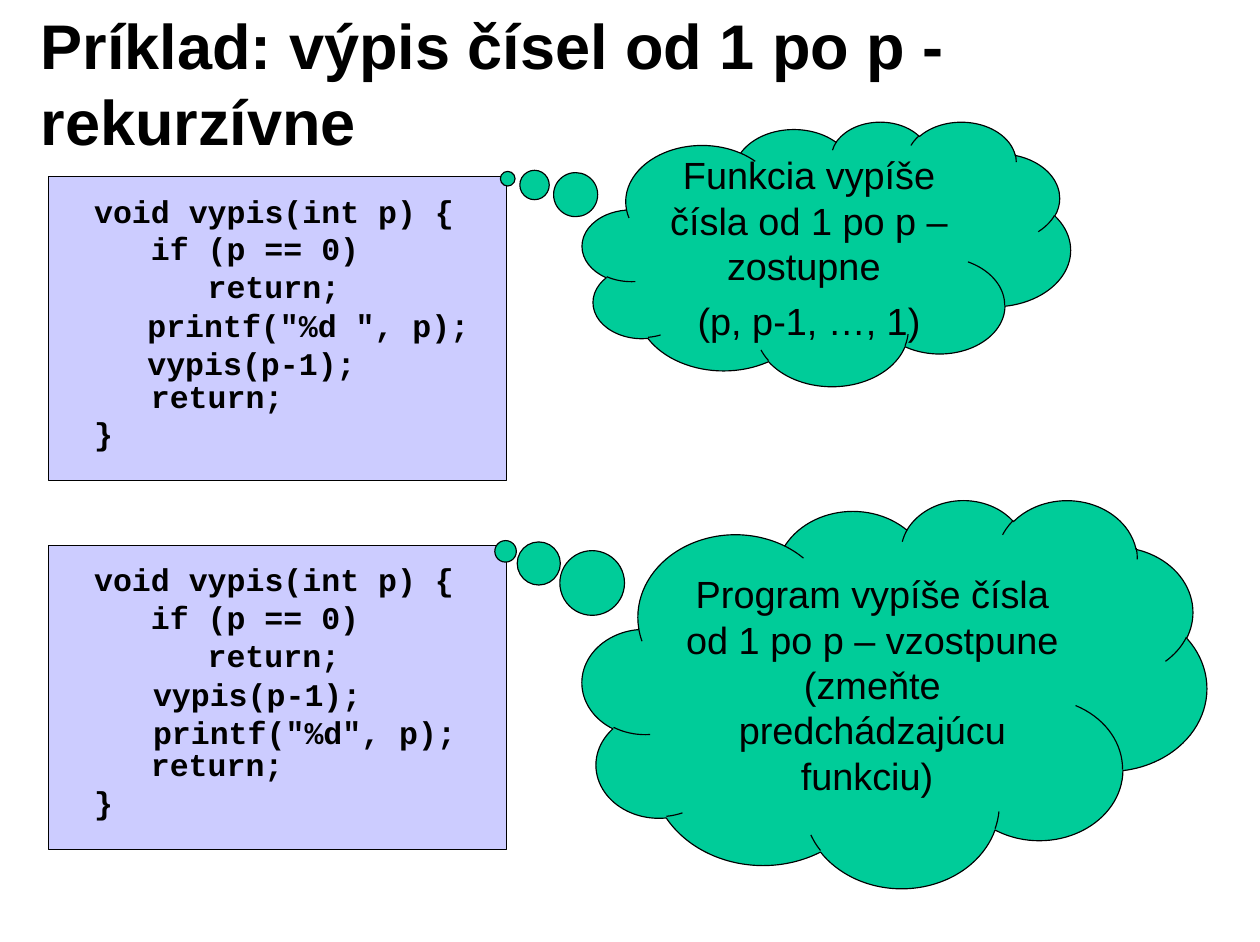
from dataclasses import dataclass

from pptx import Presentation
from pptx.dml.color import RGBColor
from pptx.enum.shapes import MSO_SHAPE
from pptx.enum.text import MSO_ANCHOR, MSO_AUTO_SIZE, PP_ALIGN
from pptx.shapes.autoshape import Shape
from pptx.slide import Slide
from pptx.text.text import TextFrame
from pptx.util import Pt

RECTANGLE = MSO_SHAPE.RECTANGLE
CLOUD = MSO_SHAPE.CLOUD_CALLOUT
MIDDLE, TOP = MSO_ANCHOR.MIDDLE, MSO_ANCHOR.TOP
LEFT, CENTER = PP_ALIGN.LEFT, PP_ALIGN.CENTER
FIT_SHAPE = MSO_AUTO_SIZE.SHAPE_TO_FIT_TEXT

COLORS = {"text": "000000", "line": "000000", "code": "CCCCFF", "cloud": "00CC99"}
INDENT = 36
CALLS_GAP = 45.3


@dataclass(frozen=True)
class Box:
    left: float
    top: float
    width: float
    height: float


@dataclass(frozen=True)
class Style:
    font: str
    size: float
    bold: bool = False
    align: PP_ALIGN = LEFT
    space_before: float = 0


@dataclass(frozen=True)
class Line:
    text: str
    level: int = 0
    space_before: float = 0


@dataclass(frozen=True)
class Example:
    top: float
    calls: list[Line]
    calls_box: Box
    cloud: list[Line]
    cloud_box: Box
    tail: tuple[float, float]


TITLE_STYLE = Style("Arial", 40, bold=True)
CODE_STYLE = Style("Courier New", 20, bold=True)
CLOUD_STYLE = Style("Arial", 24, align=CENTER, space_before=6)

FUNCTION = [
    Line("void vypis(int p) {"),
    Line("if (p == 0)", 1),
    Line("return;", 2),
    Line("return;", 1, CALLS_GAP),
    Line("}"),
]

EXAMPLES = [
    Example(
        112,
        [Line('printf("%d ", p);'), Line("vypis(p-1);")],
        Box(86.4, 190.8, 223.2, 55.4),
        [Line("Funkcia vypíše čísla od 1 po p – zostupne "), Line("(p, p-1, …, 1)")],
        Box(369.4, 77, 309.6, 167.8),
        (-0.653, -0.283),
    ),
    Example(
        346,
        [Line("vypis(p-1);"), Line('printf("%d", p);')],
        Box(90, 424.8, 283.7, 55.4),
        [Line("Program vypíše čísla od 1 po p – vzostpune (zmeňte predchádzajúcu funkciu) ")],
        Box(369.4, 316.8, 396, 246.2),
        (-0.623, -0.366),
    ),
]


def color(name: str) -> RGBColor:
    return RGBColor.from_string(COLORS[name])


def place(box: Box) -> tuple[Pt, Pt, Pt, Pt]:
    return Pt(box.left), Pt(box.top), Pt(box.width), Pt(box.height)


def write(frame: TextFrame, lines: list[Line], style: Style) -> None:
    frame.word_wrap = True
    for index, line in enumerate(lines):
        paragraph = frame.add_paragraph() if index else frame.paragraphs[0]
        paragraph.alignment = style.align
        paragraph.space_before = Pt(style.space_before + line.space_before)
        if line.level:
            properties = paragraph._p.get_or_add_pPr()
            properties.set("marL", str(Pt(INDENT * line.level)))
        run = paragraph.add_run()
        run.text = line.text
        run.font.name = style.font
        run.font.size = Pt(style.size)
        run.font.bold = style.bold
        run.font.color.rgb = color("text")


def add_text(slide: Slide, box: Box, lines: list[Line], style: Style) -> TextFrame:
    frame = slide.shapes.add_textbox(*place(box)).text_frame
    frame.vertical_anchor = TOP
    write(frame, lines, style)
    return frame


def add_filled(slide: Slide, kind: MSO_SHAPE, box: Box, fill: str) -> Shape:
    shape = slide.shapes.add_shape(kind, *place(box))
    shape.shadow.inherit = False
    shape.fill.solid()
    shape.fill.fore_color.rgb = color(fill)
    shape.line.color.rgb = color("line")
    shape.line.width = Pt(0.75)
    return shape


def add_title(slide: Slide, text: str) -> None:
    frame = add_text(slide, Box(18, 15.1, 642.2, 74.2), [Line(text)], TITLE_STYLE)
    frame.vertical_anchor = MIDDLE
    frame.margin_left = frame.margin_right = Pt(7.9)
    frame.margin_top = frame.margin_bottom = Pt(4.3)


def add_example(slide: Slide, example: Example) -> None:
    add_filled(slide, RECTANGLE, Box(31, example.top, 290.5, 193), "code")
    function_box = Box(52.6, example.top + 6, 252, 175.7)
    for box, lines in ((function_box, FUNCTION), (example.calls_box, example.calls)):
        add_text(slide, box, lines, CODE_STYLE).auto_size = FIT_SHAPE

    cloud = add_filled(slide, CLOUD, example.cloud_box, "cloud")
    for index, value in enumerate(example.tail):
        cloud.adjustments[index] = value
    cloud.text_frame.vertical_anchor = MIDDLE
    write(cloud.text_frame, example.cloud, CLOUD_STYLE)


def main() -> None:
    presentation = Presentation()
    presentation.slide_width = Pt(799.2)
    presentation.slide_height = Pt(597.6)
    slide = presentation.slides.add_slide(presentation.slide_layouts[6])
    add_title(slide, "Príklad: výpis čísel od 1 po p - rekurzívne")
    for example in EXAMPLES:
        add_example(slide, example)
    presentation.save("out.pptx")


if __name__ == "__main__":
    main()
